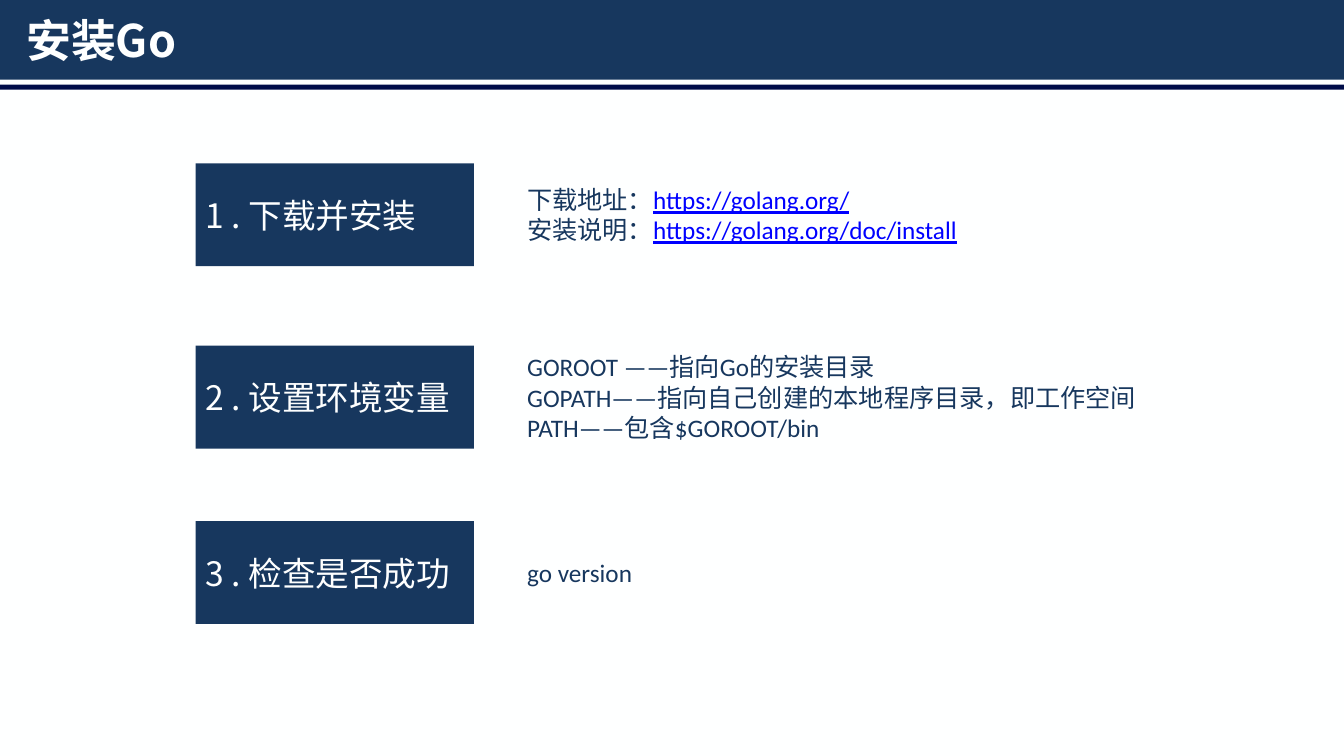
from pptx import Presentation
from pptx.util import Inches, Pt
from pptx.dml.color import RGBColor
from pptx.enum import shapes, text

NAVY = RGBColor(0x17, 0x37, 0x5E)
DARK = RGBColor(0x00, 0x0C, 0x49)
WHITE = RGBColor(0xFE, 0xFF, 0xFF)
BLUE = RGBColor(0x00, 0x00, 0xFF)
SANS = "Noto Sans CJK SC"
BODY = "Calibri"

# Each step: top, label, lines of (plain text, web address)
STEPS = [
    (1.62, "1 . 下载并安装", [
        ("下载地址：", "https://golang.org/"),
        ("安装说明：", "https://golang.org/doc/install")]),
    (3.43, "2 . 设置环境变量", [
        ("GOROOT ——指向Go的安装目录", ""),
        ("GOPATH——指向自己创建的本地程序目录，即工作空间", ""),
        ("PATH——包含$GOROOT/bin", "")]),
    (5.17, "3 . 检查是否成功", [("go version", "")]),
]


def style(para, name, size, color, bold=False):
    para.alignment = text.PP_ALIGN.LEFT
    font = para.font
    font.name, font.size, font.bold = name, Pt(size), bold
    font.color.rgb = color


def block(slide, x, y, w, h, color):
    rect = slide.shapes.add_shape(
        shapes.MSO_SHAPE.RECTANGLE, Inches(x), Inches(y), Inches(w), Inches(h))
    rect.shadow.inherit = False
    rect.fill.solid()
    rect.fill.fore_color.rgb = color
    rect.line.fill.background()
    return rect


def header(slide, x, y, w):
    # Title band and the rule below it
    block(slide, x, y, w, 0.79, NAVY)
    block(slide, x, y + 0.84, w, 0.05, DARK)
    # Title, raised above the band
    title = slide.shapes.title
    tree = title.element.getparent()
    tree.append(title.element)
    title.left, title.top = Inches(x + 0.16), Inches(y + 0.09)
    title.width, title.height = Inches(w - 0.31), Inches(0.6)
    frame = title.text_frame
    frame.text = "安装Go"
    frame.vertical_anchor = text.MSO_ANCHOR.MIDDLE
    style(frame.paragraphs[0], SANS, 32, WHITE, True)


def step(slide, x, y, w, h, label, lines):
    # Numbered label
    frame = block(slide, x, y, w, h, NAVY).text_frame
    frame.word_wrap = True
    frame.vertical_anchor = text.MSO_ANCHOR.MIDDLE
    frame.text = label
    style(frame.paragraphs[0], SANS, 24, WHITE)

    # Details, centred on the label's height
    tall = 0.1 + 0.3 * len(lines)
    box = slide.shapes.add_textbox(
        Inches(x + w + 0.43), Inches(y + (h - tall) / 2),
        Inches(6.58), Inches(tall))
    frame = box.text_frame
    frame.word_wrap = True
    frame.vertical_anchor = text.MSO_ANCHOR.MIDDLE
    for i, (plain, link) in enumerate(lines):
        para = frame.add_paragraph() if i else frame.paragraphs[0]
        style(para, BODY, 18, NAVY)
        para.add_run().text = plain
        if link:
            run = para.add_run()
            run.text = link
            run.font.color.rgb = BLUE
            run.font.underline = True


def main():
    deck = Presentation()
    deck.slide_width, deck.slide_height = Inches(13.33), Inches(7.5)
    slide = deck.slides.add_slide(deck.slide_layouts[5])
    slide.background.fill.solid()
    slide.background.fill.fore_color.rgb = WHITE
    header(slide, 0, 0, 13.33)
    for top, label, lines in STEPS:
        step(slide, 1.94, top, 2.76, 1.02, label, lines)
    deck.save("out.pptx")


if __name__ == "__main__":
    main()
